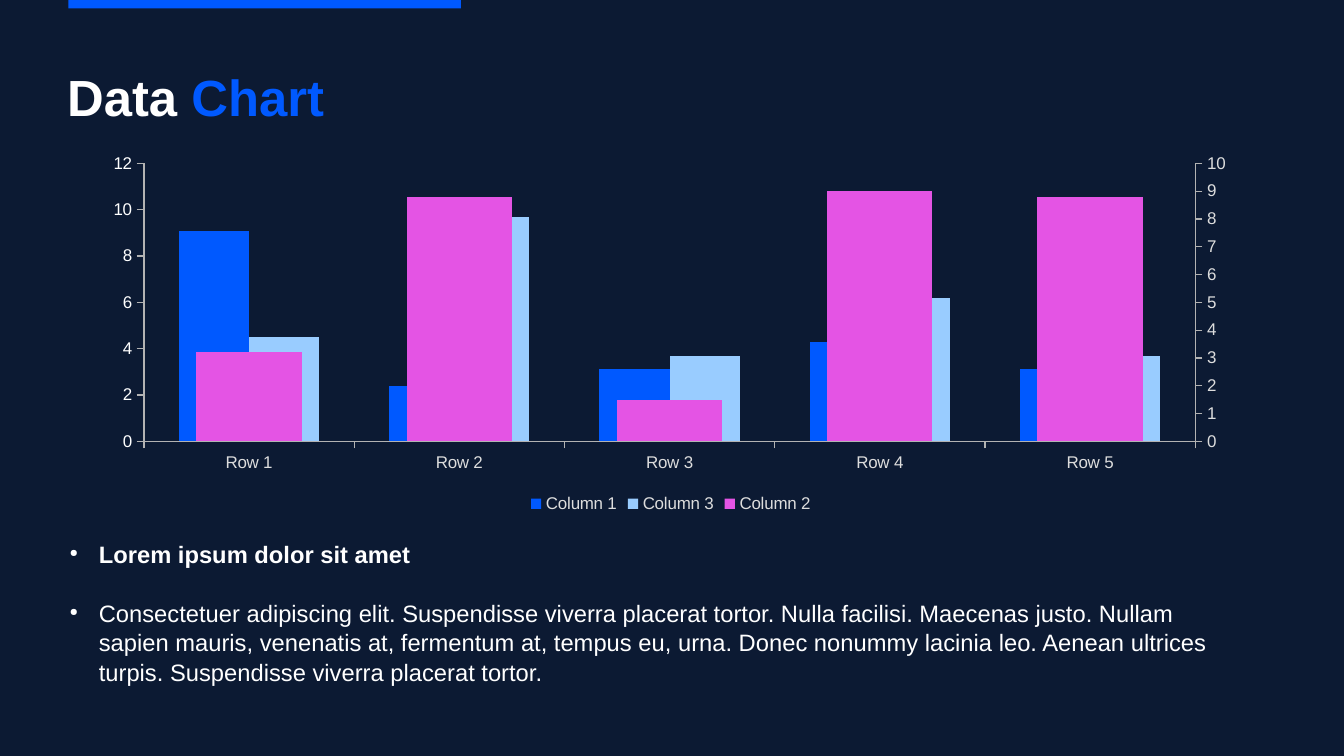
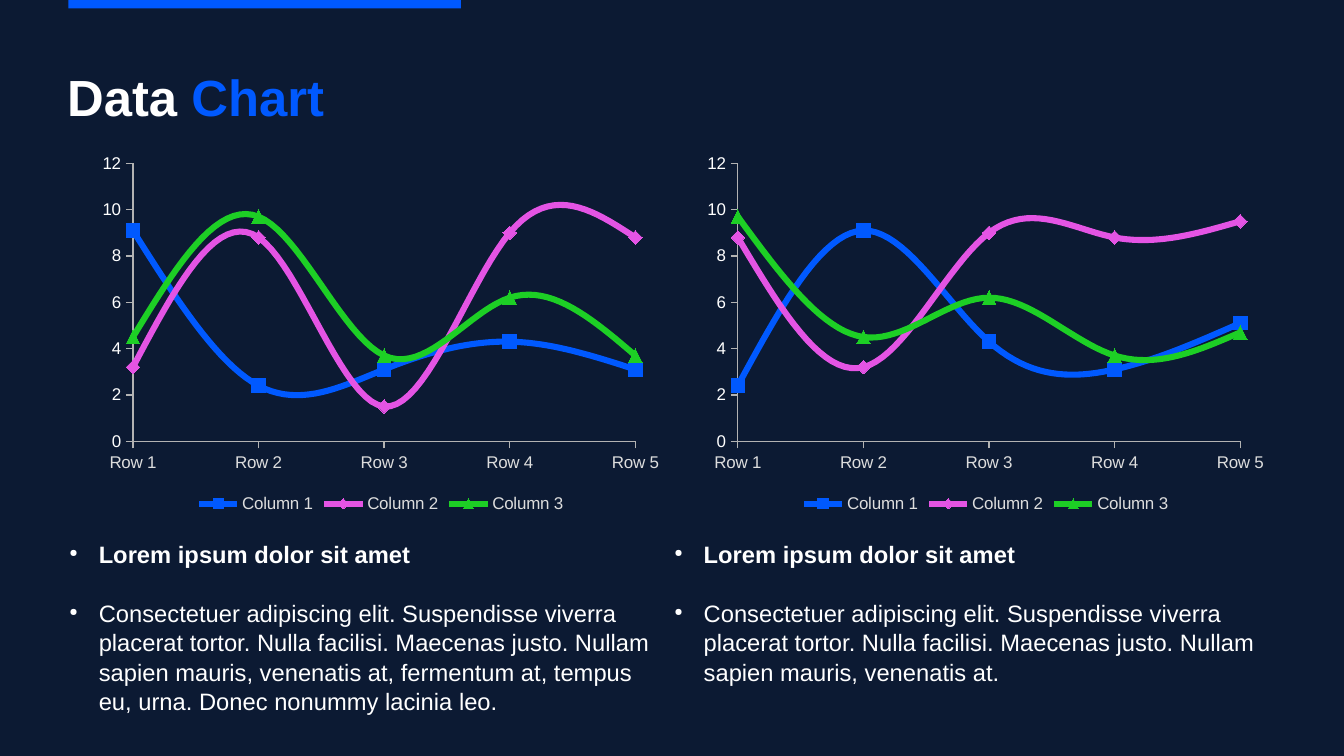
from copy import deepcopy

from lxml import etree
from pptx import Presentation
from pptx.chart.axis import CategoryAxis, ValueAxis
from pptx.chart.data import CategoryChartData
from pptx.dml.color import RGBColor
from pptx.enum.chart import XL_CHART_TYPE, XL_LEGEND_POSITION, XL_MARKER_STYLE, XL_TICK_MARK
from pptx.enum.shapes import MSO_SHAPE
from pptx.oxml.ns import qn
from pptx.util import Inches, Pt

COLORS = {
    "navy": "0C1A33",
    "blue": "0059FF",
    "sky": "99CCFF",
    "pink": "E454E4",
    "green": "1DCF25",
    "white": "FFFFFF",
    "label": "DDDDDD",
    "axis": "B3B3B3",
}
FONT = "Arial"
CATEGORIES = [f"Row {n}" for n in range(1, 6)]
CHART_TOP, CHART_HEIGHT = 1.2, 3.05
PLOT_TOP, PLOT_HEIGHT = 0.14, 2.28
TEXT_TOP, TEXT_HEIGHT = 4.42, 1.25
HEADING = "Lorem ipsum dolor sit amet"
LOREM = (
    "Consectetuer adipiscing elit. Suspendisse viverra placerat tortor. Nulla facilisi. "
    "Maecenas justo. Nullam sapien mauris, venenatis at"
)
LOREM_LONG = LOREM + ", fermentum at, tempus eu, urna. Donec nonummy lacinia leo."


def rgb(name):
    return RGBColor.from_string(COLORS[name])


def set_font(font, size, color, bold=False):
    font.name, font.size, font.bold = FONT, Pt(size), bold
    font.color.rgb = rgb(color)


def sub(parent, tag, **attrs):
    return etree.SubElement(parent, qn(tag), attrs)


def add_text_frame(s, left, top, width, height):
    tf = s.shapes.add_textbox(Inches(left), Inches(top), Inches(width), Inches(height)).text_frame
    tf.word_wrap = True
    tf.margin_left = tf.margin_right = tf.margin_top = tf.margin_bottom = 0
    return tf


def add_slide(prs):
    """Add a slide with the top band and the two-colour title."""
    s = prs.slides.add_slide(prs.slide_layouts[6])
    band = s.shapes.add_shape(MSO_SHAPE.RECTANGLE, Inches(0.56), 0, Inches(3.22), Inches(0.07))
    band.shadow.inherit = False
    band.fill.solid()
    band.fill.fore_color.rgb = rgb("blue")
    band.line.fill.background()

    p = add_text_frame(s, 0.55, 0.54, 9.91, 0.5).paragraphs[0]
    for text, color in (("Data ", "white"), ("Chart", "blue")):
        r = p.add_run()
        r.text = text
        set_font(r.font, 30, color, bold=True)
    return s


def add_bullet(p):
    pPr = p._p.get_or_add_pPr()
    indent = Inches(0.24)
    pPr.set("marL", str(indent))
    pPr.set("indent", str(-indent))
    sub(sub(pPr, "a:buClr"), "a:srgbClr", val=COLORS["white"])
    sub(pPr, "a:buSzPct", val="45000")
    sub(pPr, "a:buChar", char="●")


def add_bullets(s, left, width, body):
    tf = add_text_frame(s, left, TEXT_TOP, width, TEXT_HEIGHT)
    for i, text in enumerate((HEADING, body)):
        p = tf.add_paragraph() if i else tf.paragraphs[0]
        p.text = text
        add_bullet(p)
        p.line_spacing = 1.04
        if i:
            p.space_before = Pt(17)
        set_font(p.font, 14, "white", bold=i == 0)


def style_axis(axis, color):
    axis.has_major_gridlines = False
    axis.major_tick_mark = XL_TICK_MARK.OUTSIDE
    axis.minor_tick_mark = XL_TICK_MARK.NONE
    axis.format.line.color.rgb = rgb("axis")
    axis.format.line.width = Pt(0)
    set_font(axis.tick_labels.font, 10, color)


def set_scale(axis, maximum, unit):
    axis.minimum_scale, axis.maximum_scale, axis.major_unit = 0, maximum, unit


def set_cross_between(chart, value):
    """Start the categories on the value axis ("midCat") or beside it ("between")."""
    val_ax = chart._chartSpace.chart.plotArea.find(qn("c:valAx"))
    for old in val_ax.findall(qn("c:crossBetween")):
        val_ax.remove(old)
    cross = etree.Element(qn("c:crossBetween"), {"val": value})
    val_ax.find(qn("c:crosses")).addnext(cross)


def place_plot(chart, width, plot_left, plot_width):
    """Fix the inner plot area, given in inches within the chart."""
    plot_area = chart._chartSpace.chart.plotArea
    for old in plot_area.findall(qn("c:layout")):
        plot_area.remove(old)
    layout = etree.Element(qn("c:layout"))
    plot_area.insert(0, layout)
    manual = sub(layout, "c:manualLayout")
    sub(manual, "c:layoutTarget", val="inner")
    sub(manual, "c:xMode", val="edge")
    sub(manual, "c:yMode", val="edge")
    for key, value in (
        ("x", plot_left / width),
        ("y", PLOT_TOP / CHART_HEIGHT),
        ("w", plot_width / width),
        ("h", PLOT_HEIGHT / CHART_HEIGHT),
    ):
        sub(manual, f"c:{key}", val=f"{value:.4f}")


def add_chart(s, kind, left, width, plot_left, plot_width, cross_between, series):
    data = CategoryChartData()
    data.categories = CATEGORIES
    for name, values in series:
        data.add_series(name, values)
    chart = s.shapes.add_chart(
        kind, Inches(left), Inches(CHART_TOP), Inches(width), Inches(CHART_HEIGHT), data
    ).chart
    chart.has_title = False
    set_font(chart.font, 10, "label")
    chart.has_legend = True
    chart.legend.position = XL_LEGEND_POSITION.BOTTOM
    chart.legend.include_in_layout = False
    set_font(chart.legend.font, 10, "label")
    style_axis(chart.category_axis, "label")
    style_axis(chart.value_axis, "white")
    set_scale(chart.value_axis, 12, 2)
    set_cross_between(chart, cross_between)
    place_plot(chart, width, plot_left, plot_width)
    chart.plots[0].vary_by_categories = False
    return chart


def move_last_series_right(chart, maximum, unit):
    """Plot the last series against a second value axis on the right."""
    plot_area = chart._chartSpace.chart.plotArea
    bars = plot_area.find(qn("c:barChart"))
    cat_ax, val_ax = (plot_area.find(qn(tag)) for tag in ("c:catAx", "c:valAx"))
    right_bars, right_cat, right_val = (deepcopy(el) for el in (bars, cat_ax, val_ax))

    bars.remove(bars.findall(qn("c:ser"))[-1])
    for ser in right_bars.findall(qn("c:ser"))[:-1]:
        right_bars.remove(ser)
    cat_id, val_id = "5001", "5002"
    for ax_id, value in zip(right_bars.findall(qn("c:axId")), (cat_id, val_id)):
        ax_id.set("val", value)
    for axis, own, other in ((right_cat, cat_id, val_id), (right_val, val_id, cat_id)):
        axis.find(qn("c:axId")).set("val", own)
        axis.find(qn("c:crossAx")).set("val", other)
    right_val.find(qn("c:axPos")).set("val", "r")
    right_val.find(qn("c:crosses")).set("val", "max")

    bars.addnext(right_bars)
    val_ax.addnext(right_cat)
    right_cat.addnext(right_val)
    CategoryAxis(right_cat).visible = False
    right_axis = ValueAxis(right_val)
    set_scale(right_axis, maximum, unit)
    right_axis.tick_labels.font.color.rgb = rgb("label")


def add_column_chart(s, series):
    chart = add_chart(
        s, XL_CHART_TYPE.COLUMN_CLUSTERED, 0.75, 9.5, 0.43, 8.62, "between", series
    )
    plot = chart.plots[0]
    plot.gap_width, plot.overlap = 100, 0
    for ser, color in zip(plot.series, ("blue", "sky", "pink")):
        ser.format.fill.solid()
        ser.format.fill.fore_color.rgb = rgb(color)
    move_last_series_right(chart, 10, 1)


def add_line_chart(s, left, columns):
    series = [(f"Column {n}", values) for n, values in enumerate(columns, 1)]
    chart = add_chart(s, XL_CHART_TYPE.LINE_MARKERS, left, 4.75, 0.34, 4.12, "midCat", series)
    looks = (
        ("blue", XL_MARKER_STYLE.SQUARE),
        ("pink", XL_MARKER_STYLE.DIAMOND),
        ("green", XL_MARKER_STYLE.TRIANGLE),
    )
    for ser, (color, style) in zip(chart.plots[0].series, looks):
        ser.smooth = True
        ser.format.line.color.rgb = rgb(color)
        ser.format.line.width = Pt(3.6)
        marker = ser.marker
        marker.style, marker.size = style, 8
        marker.format.fill.solid()
        marker.format.fill.fore_color.rgb = rgb(color)
        marker.format.line.color.rgb = rgb(color)


def main():
    prs = Presentation()
    prs.slide_width, prs.slide_height = Inches(11.02), Inches(6.2)
    fill = prs.slide_master.background.fill
    fill.solid()
    fill.fore_color.rgb = rgb("navy")

    column_1 = (9.1, 2.4, 3.1, 4.3, 3.1)
    column_2 = (3.2, 8.8, 1.5, 9, 8.8)
    column_3 = (4.5, 9.7, 3.7, 6.2, 3.7)

    s = add_slide(prs)
    add_column_chart(s, [("Column 1", column_1), ("Column 3", column_3), ("Column 2", column_2)])
    add_bullets(
        s, 0.57, 9.68,
        LOREM_LONG + " Aenean ultrices turpis. Suspendisse viverra placerat tortor.",
    )

    s = add_slide(prs)
    right_columns = ((2.4, 9.1, 4.3, 3.1, 5.1), (8.8, 3.2, 9, 8.8, 9.5), (9.7, 4.5, 6.2, 3.7, 4.7))
    for chart_left, text_left, columns, body in (
        (0.75, 0.57, (column_1, column_2, column_3), LOREM_LONG),
        (5.71, 5.53, right_columns, LOREM + "."),
    ):
        add_line_chart(s, chart_left, columns)
        add_bullets(s, text_left, 4.93, body)

    prs.save("out.pptx")


if __name__ == "__main__":
    main()
